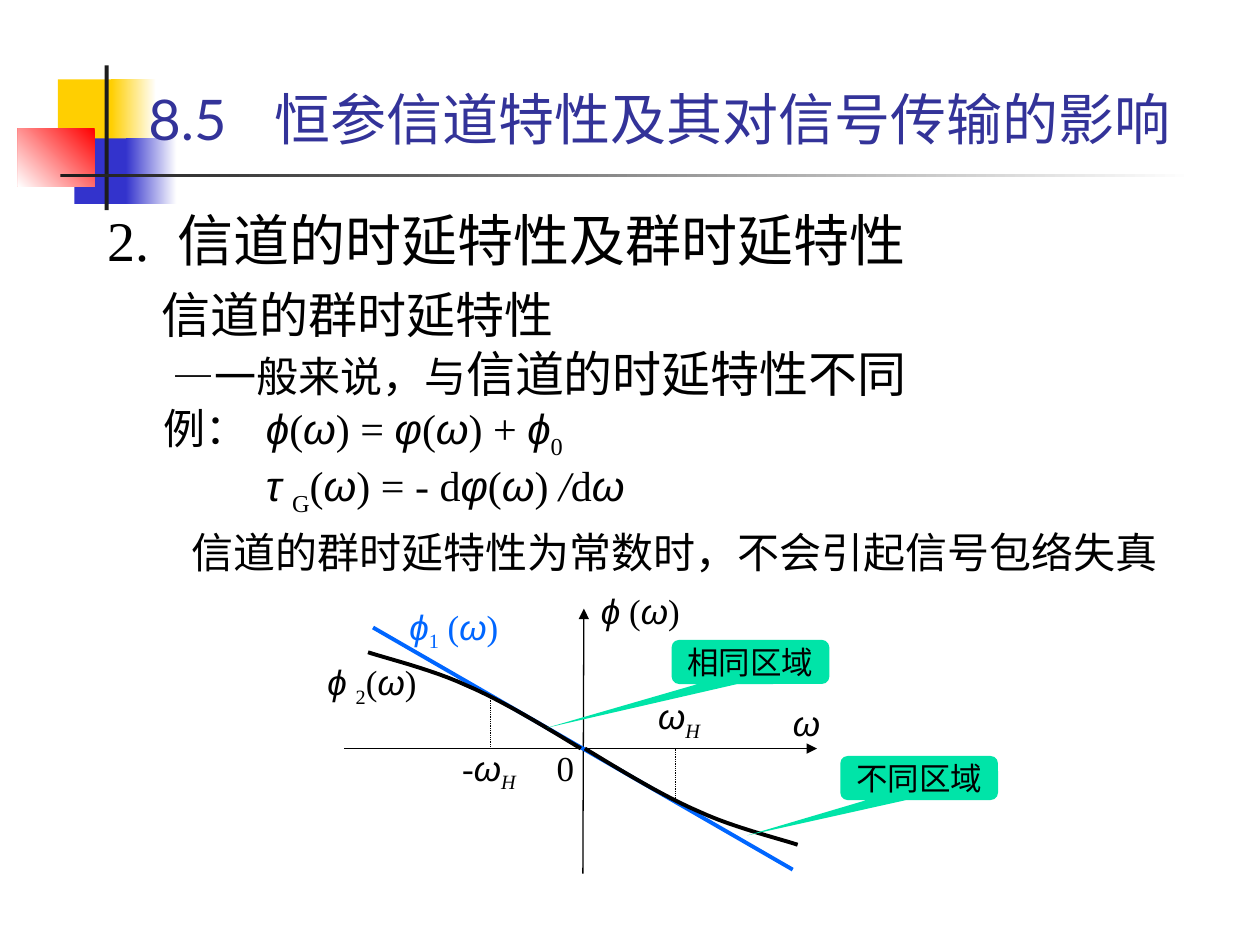
from itertools import groupby

from lxml import etree
from pptx import Presentation
from pptx.dml.color import RGBColor
from pptx.enum.dml import MSO_LINE
from pptx.enum.shapes import MSO_CONNECTOR, MSO_SHAPE
from pptx.enum.text import MSO_ANCHOR, MSO_AUTO_SIZE, PP_ALIGN
from pptx.oxml.ns import qn
from pptx.util import Cm, Pt

RECTANGLE = MSO_SHAPE.RECTANGLE
CALLOUT = MSO_SHAPE.ROUNDED_RECTANGULAR_CALLOUT
STRAIGHT = MSO_CONNECTOR.STRAIGHT
DOTTED = MSO_LINE.ROUND_DOT
LEFT, CENTER = PP_ALIGN.LEFT, PP_ALIGN.CENTER
TOP, MIDDLE, BOTTOM = MSO_ANCHOR.TOP, MSO_ANCHOR.MIDDLE, MSO_ANCHOR.BOTTOM
NO_AUTOFIT = MSO_AUTO_SIZE.NONE

SERIF, SANS, GREEK_FONT, CHINESE = "Times New Roman", "Lato", "Arial", "Noto Sans CJK SC"
BLACK, BLUE, GREEN = "000000", "0066FF", "00E4A8"
GREEK = "ϕωφτ"
ITALIC = GREEK + "-/H"


def color(hex_code):
    return RGBColor.from_string(hex_code)


def add_text(paragraph, text, size=24, font=SERIF, fill=BLACK, italic=False, subscript=False):
    run = paragraph.add_run()
    run.text = text
    run.font.name = font
    run.font.size = Pt(size)
    run.font.italic = italic
    run.font.color.rgb = color(fill)
    properties = run.font._element
    etree.SubElement(properties, qn("a:ea")).set("typeface", CHINESE)
    if subscript:
        properties.set("baseline", "-25000")


def add_formula(paragraph, formula, **text_format):
    """Sets Greek letters in slanted type; an underscore lowers the next character."""
    characters = [(character, before == "_")
                  for before, character in zip(" " + formula, formula) if character != "_"]

    def style(item):
        character, lowered = item
        return character in GREEK, character in ITALIC, lowered

    for (greek, italic, lowered), items in groupby(characters, style):
        add_text(paragraph, "".join(character for character, _ in items), italic=italic,
                 font=GREEK_FONT if greek else SERIF, subscript=lowered, **text_format)


def format_paragraph(paragraph, margin=0, hanging=0, tab=None, before=0, align=LEFT):
    properties = paragraph._p.get_or_add_pPr()
    properties.set("marL", str(Cm(margin)))
    properties.set("indent", str(-Cm(hanging)))
    etree.SubElement(properties, qn("a:buNone"))
    if tab:
        tabs = etree.SubElement(properties, qn("a:tabLst"))
        etree.SubElement(tabs, qn("a:tab"), pos=str(Cm(tab)), algn="l")
    paragraph.alignment = align
    paragraph.space_before = Pt(before)
    paragraph.space_after = Pt(0)


def format_frame(shape, anchor=TOP, inset=(0.05, 0.03), wrap=True):
    frame = shape.text_frame
    frame.word_wrap = wrap
    frame.auto_size = NO_AUTOFIT
    frame.vertical_anchor = anchor
    frame.margin_left = frame.margin_right = Cm(inset[0])
    frame.margin_top = frame.margin_bottom = Cm(inset[1])
    return frame


def place_in_front(slide, shape, left, top, width, height):
    shape.left, shape.top, shape.width, shape.height = map(Cm, (left, top, width, height))
    slide.shapes._spTree.append(shape._element)


def add_block(slide, box, start, end=None, angle=0):
    """Adds a plain rectangle, or a gradient one if an end colour is given."""
    shape = slide.shapes.add_shape(RECTANGLE, *map(Cm, box))
    shape.shadow.inherit = False
    shape.line.fill.background()
    if end is None:
        shape.fill.solid()
        shape.fill.fore_color.rgb = color(start)
        return
    shape.fill.gradient()
    shape.fill.gradient_angle = angle
    for stop, hex_code in zip(shape.fill.gradient_stops, (start, end)):
        stop.color.rgb = color(hex_code)


def add_line(slide, start, end, hex_code=BLACK, width=0.75, arrow=False, dash=None):
    line = slide.shapes.add_connector(STRAIGHT, *map(Cm, (*start, *end)))
    line.line.color.rgb = color(hex_code)
    line.line.width = Pt(width)
    if dash:
        line.line.dash_style = dash
    if arrow:
        etree.SubElement(line.line._get_or_add_ln(), qn("a:tailEnd"), type="triangle")
    etree.SubElement(line._element.spPr, qn("a:effectLst"))


def add_curve(slide, points):
    builder = slide.shapes.build_freeform(*map(Cm, points[0]))
    builder.add_line_segments([(Cm(x), Cm(y)) for x, y in points[1:]], close=False)
    curve = builder.convert_to_shape()
    curve.shadow.inherit = False
    curve.fill.background()
    curve.line.color.rgb = color(BLACK)
    curve.line.width = Pt(2.25)


def bezier(start, first, second, end, steps=12):
    """Returns the points of a cubic curve after its start."""
    points = []
    for step in range(1, steps + 1):
        t = step / steps
        weights = ((1 - t) ** 3, 3 * t * (1 - t) ** 2, 3 * t * t * (1 - t), t ** 3)
        points.append(tuple(sum(weight * point[axis] for weight, point
                                in zip(weights, (start, first, second, end)))
                            for axis in (0, 1)))
    return points


def build_decoration(slide, left, top):
    blocks = [
        ((0.81, 0.28, 1.22, 1.32), "FFCF01"),
        ((1.88, 0.28, 0.91, 1.32), "FFCF01", "FFFFFF"),
        ((1.14, 1.47, 1.17, 1.32), "3333CC"),
        ((2.18, 1.47, 1.02, 1.32), "3333CC", "FFFFFF"),
        ((0, 1.27, 1.55, 1.17), "FF0000", "FFFFFF", 225),
        ((1.75, 0, 0.08, 2.92), "1C1C1C"),
        ((0.86, 2.18, 22.86, 0.08), "1C1C1C", "FFFFFF"),
    ]
    for (x, y, width, height), *fill in blocks:
        add_block(slide, (left + x, top + y, width, height), *fill)


def build_title(slide, *box):
    title = slide.shapes.title
    place_in_front(slide, title, *box)
    paragraph = format_frame(title, BOTTOM, (0.25, 0.13)).paragraphs[0]
    format_paragraph(paragraph, tab=2.91)
    add_text(paragraph, "8.5\t", size=32, font=SANS, fill="333399")
    add_text(paragraph, "恒参信道特性及其对信号传输的影响", size=32, font=CHINESE, fill="333399")


def build_body(slide, *box):
    body = slide.placeholders[1]
    place_in_front(slide, body, *box)
    frame = format_frame(body, TOP, (0.25, 0.13))
    heading = frame.paragraphs[0]
    format_paragraph(heading, margin=1.42, hanging=1.42, tab=1.42)
    add_text(heading, "2.\t信道的时延特性及群时延特性", size=32)

    subheading, remark, example, delay = [frame.add_paragraph() for _ in range(4)]
    format_paragraph(subheading, margin=1.1, before=7)
    add_text(subheading, "信道的群时延特性", size=28)
    format_paragraph(remark, margin=1.31)
    add_text(remark, "—一般来说，与")
    add_text(remark, "信道的时延特性不同", size=28)
    format_paragraph(example, margin=3.2, hanging=2.07, tab=3.2)
    add_text(example, "例：\t")
    add_formula(example, "ϕ(ω) = φ(ω) + ϕ_0")
    format_paragraph(delay, margin=3.2)
    add_formula(delay, "τ _G(ω) = - dφ(ω) /dω")


def build_conclusion(slide, *box):
    shape = slide.shapes.add_textbox(*map(Cm, box))
    paragraph = format_frame(shape).paragraphs[0]
    format_paragraph(paragraph)
    add_text(paragraph, "信道的群时延特性为常数时，不会引起信号包络失真")


def build_phase_chart(slide, x, y):
    """Draws the phase curves around the origin (x, y)."""
    add_line(slide, (x, y + 2.52), (x + 0.02, y - 2.82), arrow=True)
    add_line(slide, (x - 4.81, y), (x + 4.72, y), arrow=True)
    add_line(slide, (x - 4.23, y - 2.44), (x + 4.23, y + 2.44), BLUE, 2.25)

    start, bend, end = (-0.04, 0), (-2.34, -1.27), (-4.33, -1.94)
    half = [start, *bezier(start, (-0.83, -0.48), (-1.62, -0.96), bend),
            *bezier(bend, (-3.05, -1.6), (-4.01, -1.83), end)]
    for sign in (1, -1):
        add_curve(slide, [(x + sign * dx, y + sign * dy) for dx, dy in half])
        limit = x - sign * 1.87
        add_line(slide, (limit, y - sign * 1.06), (limit, y), width=0.5, dash=DOTTED)

    labels = [
        ("ϕ (ω)", 1.16, -2.79, BLACK),
        ("ω", 4.51, -0.53, BLACK),
        ("-ω_H", -1.89, 0.43, BLACK),
        ("ω_H", 1.94, -0.61, BLACK),
        ("ϕ _2(ω)", -4.25, -1.29, BLACK),
        ("ϕ_1 (ω)", -2.6, -2.41, BLUE),
        ("0", -0.35, 0.39, BLACK),
    ]
    width, height = 1.9, 1
    for formula, dx, dy, fill in labels:
        label = slide.shapes.add_textbox(Cm(x + dx - width / 2), Cm(y + dy - height / 2),
                                         Cm(width), Cm(height))
        paragraph = format_frame(label, MIDDLE, wrap=False).paragraphs[0]
        format_paragraph(paragraph, align=CENTER)
        add_formula(paragraph, formula, size=20, fill=fill)


def build_callout(slide, left, top, text, pointer):
    callout = slide.shapes.add_shape(CALLOUT, Cm(left), Cm(top), Cm(3.18), Cm(0.89))
    callout.shadow.inherit = False
    callout.fill.solid()
    callout.fill.fore_color.rgb = color(GREEN)
    callout.line.fill.background()
    for index, value in enumerate((*pointer, 0.17)):
        callout.adjustments[index] = value
    paragraph = format_frame(callout, MIDDLE).paragraphs[0]
    format_paragraph(paragraph, align=CENTER)
    add_text(paragraph, text, size=18, font=SANS)


def main():
    presentation = Presentation()
    presentation.slide_width, presentation.slide_height = Cm(25.4), Cm(19.05)
    slide = presentation.slides.add_slide(presentation.slide_layouts[1])
    build_decoration(slide, 0.36, 1.32)
    build_title(slide, 2.74, 0.84, 22.66, 2.34)
    build_body(slide, 1.91, 4.01, 22.33, 6.55)
    build_conclusion(slide, 3.81, 10.59, 20.52, 1.07)
    build_phase_chart(slide, 11.75, 15.09)
    build_callout(slide, 13.54, 12.9, "相同区域", (-1.29, 1.49))
    build_callout(slide, 16.94, 15.24, "不同区域", (-1.09, 1.3))
    presentation.save("out.pptx")


if __name__ == "__main__":
    main()
